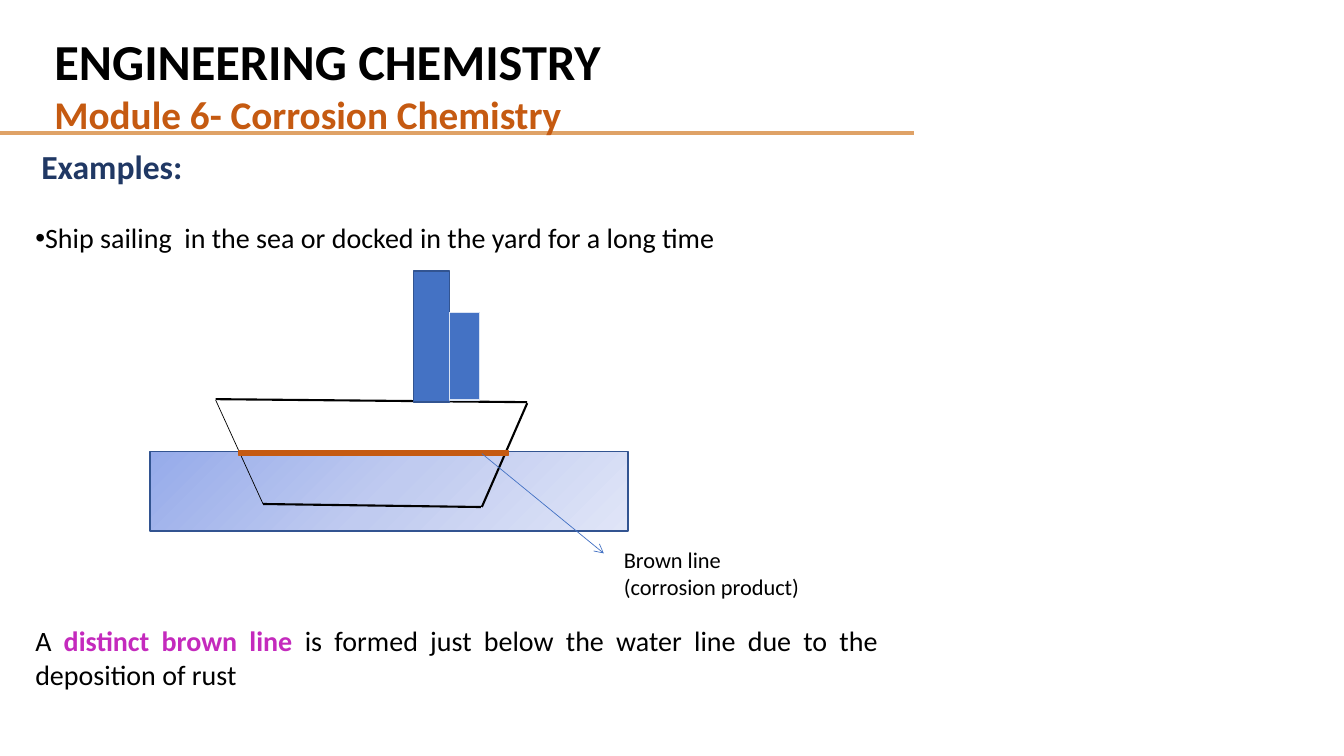
import copy
import pptx
import pptx.util
import pptx.dml.color
import pptx.enum.shapes
import pptx.enum.text
import pptx.oxml

# Content: lengths are cells of a grid, ten cells to the inch
CELL = pptx.util.Inches(0.1)
COLS, ROWS = 133.33, 75
FACE = "Calibri"
INK, RUST, BLUE, EDGE = "000000", "C55A11", "4472C4", "325491"

# A run is (text, size, colour, bold)
HEAD = [
    dict(runs=[("ENGINEERING CHEMISTRY", 36, INK, True)]),
    dict(runs=[("Module 6- Corrosion Chemistry", 28, RUST, True)]),
]
BODY = [
    dict(runs=[("Examples:", 24, "203864", True)], left=0.6),
    dict(runs=[("Ship sailing  in the sea or docked in the yard for a long time",
                20, INK, False)], gap=24.4, mark="•"),
    dict(runs=[("A ", 20, INK, False),
               ("distinct brown line ", 20, "C42ABD", True),
               ("is formed just below the water line due to the deposition of rust",
                20, INK, False)], gap=264),
]
NOTE = [
    dict(runs=[("Brown line", 16, INK, False)]),
    dict(runs=[("(corrosion product)", 16, INK, False)]),
]
HEAD_BOX = (4.4, 2.5, 87.5, 11.8)
BODY_BOX = (2.5, 14, 85.6, 55.5)
NOTE_BOX = (60.9, 53.7, 24, 6.4)

SEA_BOX = (14.9, 44.8, 47.4, 7.9)
SEA = [(0, "96ABEA"), (0.5, "C0CBF0"), (1, "E0E5F7")]
RULE = ((-0.1, 13.2), (90.7, 13.2), "DFA267", 3)
HULL = [
    ((21.4, 39.7), (26.1, 50), INK, 0.5),
    ((26.1, 50), (47.7, 50.3), INK, 1.5),
    ((47.8, 50.3), (52.3, 40), INK, 1.5),
    ((21.4, 39.6), (52.3, 39.9), INK, 1.5),
]
BLOCKS = [
    ((41, 26.9, 3.6, 13), BLUE, EDGE),
    ((44.6, 31, 3, 8.7), BLUE, "DAE3F3"),
    ((23.7, 44.7, 26.7, 0.5), RUST, RUST),
]
ARROW = ((47.8, 45), (59.9, 54.9), BLUE, 0.5)


# Helpers
def cells(vals):
    return [round(v * CELL) for v in vals]


def tint(code):
    return pptx.dml.color.RGBColor.from_string(code)


def style(item, form):
    for name, val in form.items():
        setattr(item, name, val)


def node(home, tag, **vals):
    kid = pptx.oxml.parse_xml(
        f'<a:{tag} xmlns:a="http://schemas.openxmlformats.org/drawingml/2006/main"/>')
    for name, val in vals.items():
        kid.set(name, val)
    home.append(kid)


def place(item, box):
    style(item, dict(zip(("left", "top", "width", "height"), cells(box))))


def write(item, paras, align):
    frame = item.text_frame
    style(frame, dict(word_wrap=True,
                      auto_size=pptx.enum.text.MSO_AUTO_SIZE.NONE,
                      vertical_anchor=pptx.enum.text.MSO_ANCHOR.TOP))
    for i, data in enumerate(paras):
        para = frame.paragraphs[0] if i == 0 else frame.add_paragraph()
        style(para, dict(alignment=align, line_spacing=1.0,
                         space_before=pptx.util.Pt(data.get("gap", 0)),
                         space_after=pptx.util.Pt(0)))
        props = para._p.get_or_add_pPr()
        props.set("marL", str(round(data.get("left", 0) * CELL)))
        props.set("indent", "0")
        if "mark" in data:
            node(props, "buFont", typeface="Arial")
            node(props, "buChar", char=data["mark"])
        else:
            node(props, "buNone")
        for text, size, hue, bold in data["runs"]:
            run = para.add_run()
            run.text = text
            style(run.font, dict(name=FACE, size=pptx.util.Pt(size), bold=bold))
            run.font.color.rgb = tint(hue)


def draw(start, end, hue, width):
    line = slide.shapes.add_connector(
        pptx.enum.shapes.MSO_CONNECTOR.STRAIGHT, *cells(start + end))
    line.line.color.rgb = tint(hue)
    line.line.width = pptx.util.Pt(width)
    node(line._element.spPr, "effectLst")
    return line


def block(box, edge):
    item = slide.shapes.add_shape(
        pptx.enum.shapes.MSO_SHAPE.RECTANGLE, *cells(box))
    item.shadow.inherit = False
    item.line.color.rgb = tint(edge)
    item.line.width = pptx.util.Pt(1)
    return item


# Slide
deck = pptx.Presentation()
style(deck, dict(zip(("slide_width", "slide_height"), cells((COLS, ROWS)))))
slide = deck.slides.add_slide(deck.slide_layouts[1])
title, body = slide.placeholders
ALIGN = pptx.enum.text.PP_ALIGN

# Sea: a third stop joins the two of a new gradient
sea = block(SEA_BOX, EDGE)
sea.fill.gradient()
sea.fill.gradient_angle = 315
last = sea.fill.gradient_stops[-1]._gs
last.addnext(copy.deepcopy(last))
for stop, (spot, hue) in zip(sea.fill.gradient_stops, SEA):
    stop.position = spot
    stop.color.rgb = tint(hue)

# Heading over its rule
draw(*RULE)
place(title, HEAD_BOX)
write(title, HEAD, ALIGN.LEFT)
slide.shapes._spTree.append(title._element)

# Ship
for part in HULL:
    draw(*part)
for box, fill, edge in BLOCKS:
    item = block(box, edge)
    item.fill.solid()
    item.fill.fore_color.rgb = tint(fill)

# Text, then the arrow with its note
place(body, BODY_BOX)
write(body, BODY, ALIGN.JUSTIFY)
slide.shapes._spTree.append(body._element)
arrow = draw(*ARROW)
node(arrow.line._get_or_add_ln(), "tailEnd", type="arrow")
note = slide.shapes.add_textbox(*cells(NOTE_BOX))
write(note, NOTE, ALIGN.LEFT)

deck.save("out.pptx")
